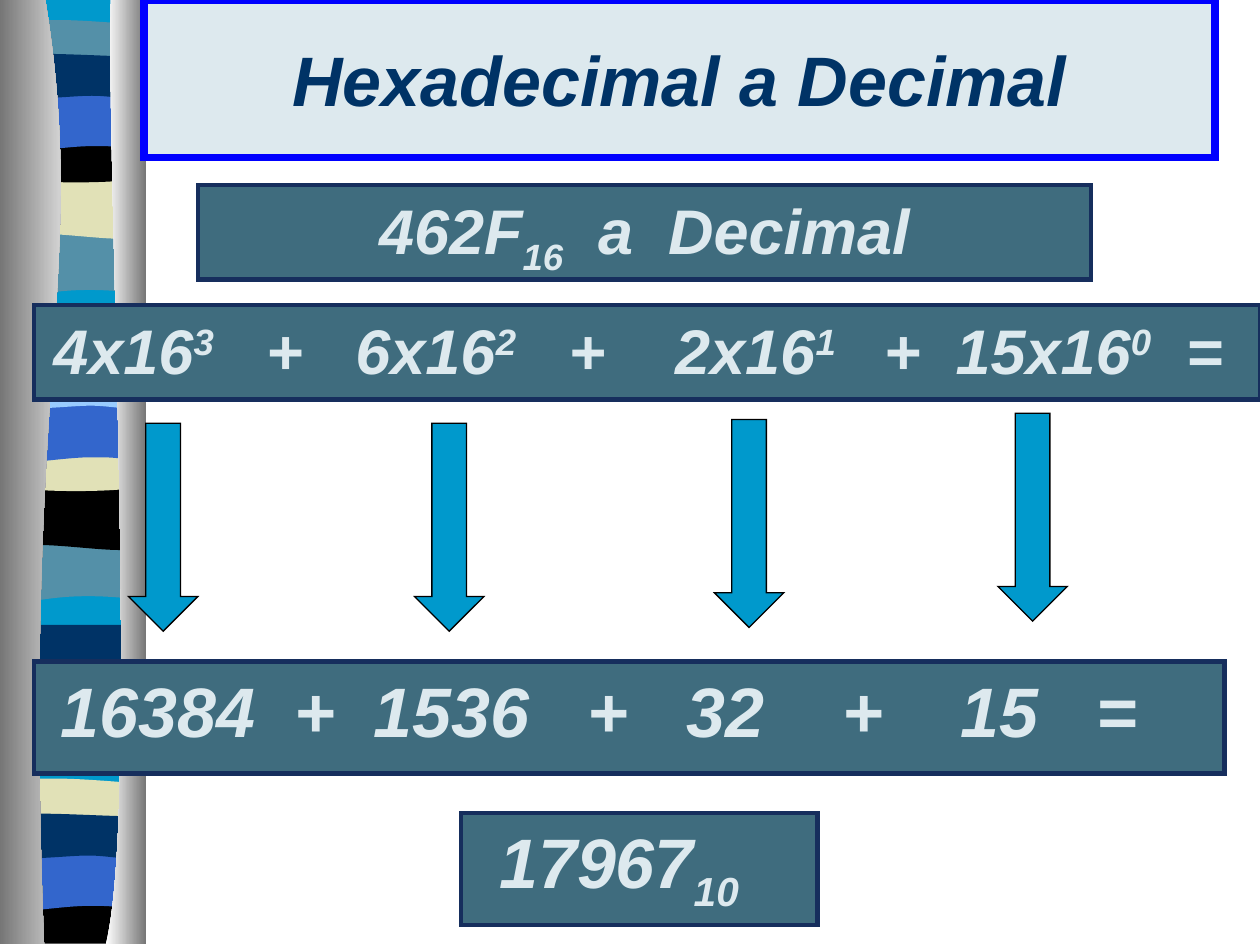
from dataclasses import dataclass

import lxml.etree
import pptx
import pptx.dml.color
import pptx.enum.shapes
import pptx.enum.text
import pptx.oxml.ns
import pptx.util

SHAPE = pptx.enum.shapes.MSO_SHAPE
ANCHOR = pptx.enum.text.MSO_ANCHOR
ALIGN = pptx.enum.text.PP_ALIGN
qn = pptx.oxml.ns.qn

# The slide is a grid of 10 columns by 7.5 rows of square cells.
CELL = pptx.util.Inches(1)
COLS, ROWS = 10, 7.5

SKY, TEAL, CREAM, BLACK = "0099CC", "5490A8", "E1E1B7", "000000"
BLUE, NAVY, PALE = "3366CC", "003366", "99CCFF"
PANEL, PANEL_LINE, LIGHT = "3F6C7E", "162E5D", "DDE9EE"

# Outlines from a band's top left: pairs are corners, sixes are Bézier curves.
WAVE = [(1.06, 0), (1.06, 0.47), (0.33, 0.38, 0.18, 0.54, 0, 0.47), (0, 0)]
SWELL = [(1.07, 0), (1.07, 0.47), (0.89, 0.55, 0.33, 0.41, 0, 0.47), (0, 0)]
RIBBON = [(1.07, 0.05), (1.07, 0.3), (0.89, 0.34, 0.18, 0.34, 0, 0.3), (0, 0.05),
          (0.07, 0, 0.24, 0.01, 0.41, 0.01), (0.59, 0.01, 0.93, 0.04, 1.07, 0.05)]
ARCH = [(1.06, 0), (1.06, 0.33), (0.89, 0.38, 0.18, 0.38, 0, 0.33), (0, 0),
        (0.66, 0.05, 0.84, 0, 1.06, 0)]
BASE = [(1.06, 0), (1.06, 0.37), (0, 0.37), (0, 0), (0.66, 0.05, 0.84, 0, 1.06, 0)]
VAULT = [(1.06, 0), (1.06, 0.47), (0.89, 0.42, 0.83, 0.42, 0.65, 0.42),
         (0.47, 0.42, 0.16, 0.47, 0, 0.47), (0, 0)]
FLAG = [(1.06, 0.05), (1.06, 0.36), (0.99, 0.41, 0.83, 0.36, 0.65, 0.36),
        (0.47, 0.36, 0.11, 0.41, 0, 0.36), (0, 0.05), (0.15, 0, 0.72, 0.05, 1.06, 0.05)]
LEFT_COVER = [(0.36, 0), (0.71, 2.16, 0.17, 2.96, 0.35, 7.49), (0, 7.49), (0, 0)]
RIGHT_COVER = [(0.88, 0), (0.84, 1.25, 1.11, 6.46, 0.84, 7.49), (1.16, 7.49), (1.16, 0)]


@dataclass
class Band:
    outline: list
    col: float
    row: float
    color: str


@dataclass
class Panel:
    col: float
    row: float
    cols: float
    rows: float
    size: int
    runs: list
    shift: float = 0


BANDS = [
    Band(WAVE, 0.07, 1.86, TEAL), Band(SWELL, 0.08, 1.4, CREAM),
    Band(RIBBON, 0.08, 0.15, TEAL), Band(ARCH, 0.07, 1.08, BLACK),
    Band(VAULT, 0.08, 0.74, BLUE), Band(FLAG, 0.08, 0.4, NAVY),
    Band(WAVE, 0.06, 4.29, TEAL), Band(SWELL, 0.07, 3.87, BLACK),
    Band(RIBBON, 0.07, 2.62, NAVY), Band(ARCH, 0.07, 3.53, CREAM),
    Band(VAULT, 0.07, 3.21, BLUE), Band(FLAG, 0.07, 2.86, PALE),
    Band(WAVE, 0.05, 5.42, PALE), Band(SWELL, 0.06, 4.96, NAVY),
    Band(RIBBON, 0.06, 6.17, CREAM), Band(BASE, 0.06, 7.12, BLACK),
    Band(VAULT, 0.05, 6.77, BLUE), Band(FLAG, 0.05, 6.43, NAVY),
]

# Each run is its text and its baseline shift in percent.
PANELS = [
    Panel(0.27, 5.25, 9.45, 0.89, 40,
          [("16384  +  1536   +   32    +    15   =    ", 0)], shift=0.07),
    Panel(1.57, 1.47, 7.09, 0.75, 36, [("462F", 0), ("16", -25), ("  a  Decimal", 0)]),
    Panel(0.27, 2.42, 9.73, 0.75, 36, [
        ("4x16", 0), ("3", 30), ("   +   6x16", 0), ("2", 30), ("   +    2x16", 0),
        ("1   ", 30), (" +  15x16", 0), ("0", 30), ("  =  ", 0)]),
    Panel(3.66, 6.45, 2.83, 0.89, 40, [(" 17967", 0), ("10    ", -25)], shift=-0.06),
]

ARROWS = [(7.92, 3.28), (5.67, 3.33), (3.29, 3.36), (1.02, 3.36)]


def cells(*counts: float) -> list:
    return [round(n * CELL) for n in counts]


def rgb(color: str) -> pptx.dml.color.RGBColor:
    return pptx.dml.color.RGBColor.from_string(color)


def paint(s, fill: str, line: str = "", width: float = 0) -> None:
    s.fill.solid()
    s.fill.fore_color.rgb = rgb(fill)
    if line:
        s.line.color.rgb = rgb(line)
        s.line.width = pptx.util.Pt(width)
        ln = s._element.spPr.find(qn("a:ln"))
        lxml.etree.SubElement(ln, qn("a:miter")).set("lim", "800000")
    else:
        s.line.fill.background()


def add_text(p, text: str, *, size: int, color: str, baseline: int = 0) -> None:
    r = p.add_run()
    r.text = text
    r.font.name = "Arial"
    r.font.size = pptx.util.Pt(size)
    r.font.bold = r.font.italic = True
    r.font.color.rgb = rgb(color)
    if baseline:
        r.font._element.set("baseline", str(baseline * 1000))


def add_outline(shapes, outline: list, col: float = 0, row: float = 0):
    """Lay every point as a corner, then join each curve's three into a Bézier."""
    points = [cells(col + part[i], row + part[i + 1])
              for part in outline for i in range(0, len(part), 2)]
    builder = shapes.build_freeform(*points[0])
    builder.add_line_segments(points[1:], close=True)
    s = builder.convert_to_shape()
    s.shadow.inherit = False
    corners = iter(list(s._element.iter(qn("a:lnTo"))))
    for part in outline[1:]:
        first = next(corners)
        if len(part) == 6:
            first.tag = qn("a:cubicBezTo")
            for _ in range(2):
                corner = next(corners)
                first.append(corner[0])
                corner.getparent().remove(corner)
    return s


def add_preset(shapes, kind, *box: float):
    s = shapes.add_shape(kind, *cells(*box))
    s.shadow.inherit = False
    return s


def add_cover(shapes, outline: list, start: str, end: str) -> None:
    s = add_outline(shapes, outline)
    s.line.fill.background()
    s.fill.gradient()
    s.fill.gradient_angle = 0
    for stop, color in zip(s.fill.gradient_stops, (start, end)):
        stop.color.rgb = rgb(color)


def add_panel(shapes, panel: Panel) -> None:
    s = add_preset(shapes, SHAPE.RECTANGLE, panel.col, panel.row, panel.cols, panel.rows)
    paint(s, PANEL, PANEL_LINE, 2.5)
    tf = s.text_frame
    tf.word_wrap = True
    tf.vertical_anchor = ANCHOR.TOP
    tf.margin_left, tf.margin_right = cells(0.1 + panel.shift, 0.1 - panel.shift)
    p = tf.paragraphs[0]
    p.alignment = ALIGN.CENTER
    p.space_before = pptx.util.Pt(panel.size / 4)
    indent = cells(0.38)[0]
    pPr = p._p.get_or_add_pPr()
    pPr.set("marL", str(indent))
    pPr.set("indent", str(-indent))
    for text, baseline in panel.runs:
        add_text(p, text, size=panel.size, color=LIGHT, baseline=baseline)


def add_arrow(shapes, col: float, row: float) -> None:
    s = add_preset(shapes, SHAPE.UP_ARROW, col, row, 0.55, 1.65)
    s._element.spPr.find(qn("a:xfrm")).set("flipV", "1")
    paint(s, SKY, BLACK, 0.75)


def format_title(s, text: str) -> None:
    s.left, s.top, s.width, s.height = cells(1.14, 0, 8.5, 1.25)
    paint(s, LIGHT, "0000FF", 4.5)
    s.text_frame.vertical_anchor = ANCHOR.MIDDLE
    p = s.text_frame.paragraphs[0]
    p.alignment = ALIGN.CENTER
    add_text(p, text, size=40, color=NAVY)


def main() -> None:
    prs = pptx.Presentation()
    prs.slide_width, prs.slide_height = cells(COLS, ROWS)
    shapes = prs.slides.add_slide(prs.slide_layouts[5]).shapes
    title = shapes.title

    column = shapes.add_group_shape().shapes
    backing = [(1.14, 0), (1.14, 7.47), (0.08, 7.47), (0.08, 0)]
    for band in [Band(backing, 0, 0, SKY), *BANDS]:
        paint(add_outline(column, band.outline, band.col, band.row), band.color)
    add_cover(column, LEFT_COVER, "767676", "FFFFFF")
    add_cover(column, RIGHT_COVER, "FFFFFF", "767676")

    format_title(title, "Hexadecimal a Decimal")
    shapes._spTree.append(title._element)  # in front of the column
    for panel in PANELS:
        add_panel(shapes, panel)
    for col, row in ARROWS:
        add_arrow(shapes, col, row)
    prs.save("out.pptx")


if __name__ == "__main__":
    main()
